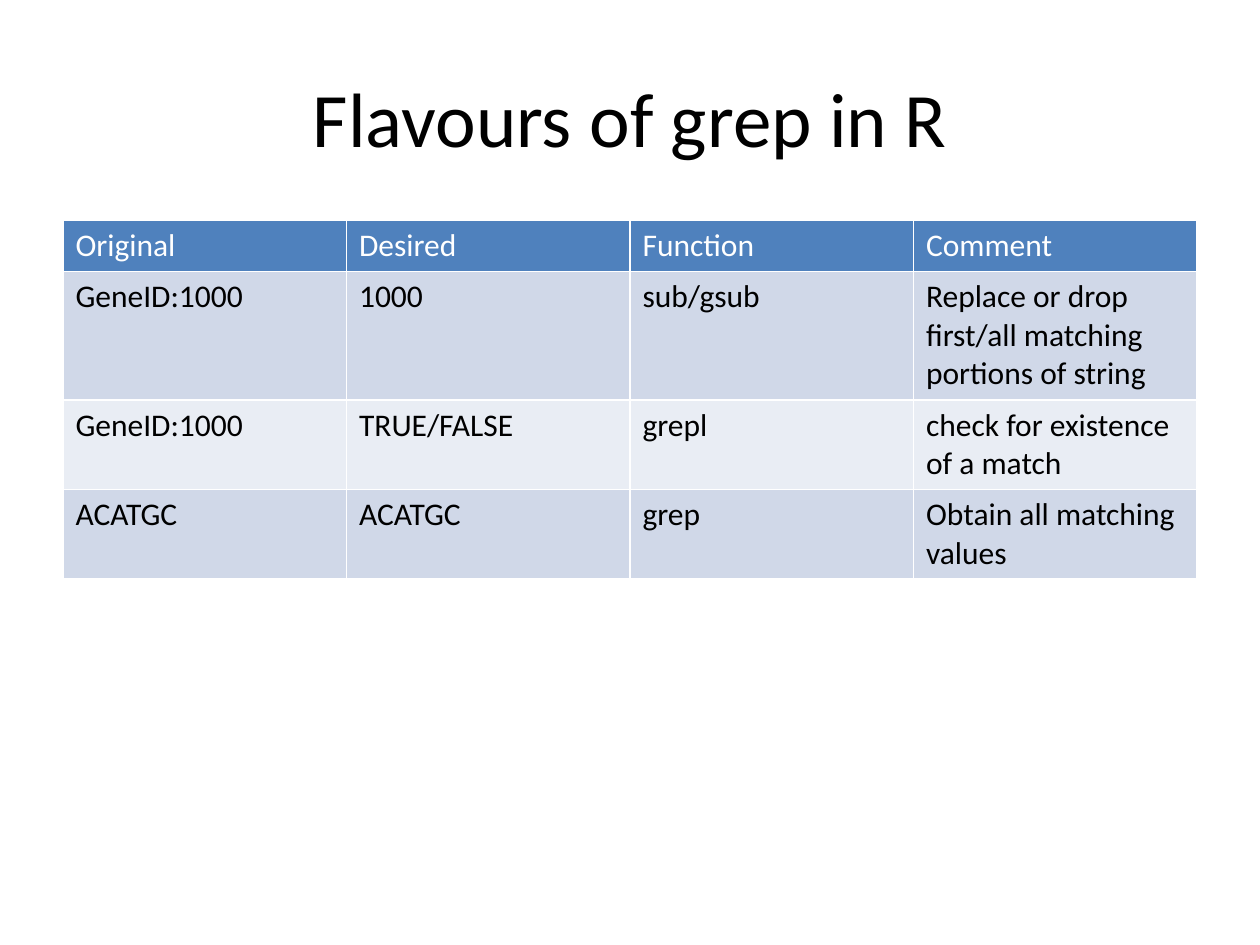
import pptx
import pptx.util
import pptx.dml.color

Inches, Pt = pptx.util.Inches, pptx.util.Pt


def shade(code):
    """Turn a hex string into a colour."""
    return pptx.dml.color.RGBColor.from_string(code)


def style(para, size, code):
    """Set the font of a paragraph's runs."""
    look = {"name": "Calibri", "size": Pt(size), "bold": False}
    for run in para.runs:
        for key, value in look.items():
            setattr(run.font, key, value)
        run.font.color.rgb = shade(code)


deck = pptx.Presentation()
deck.slide_width, deck.slide_height = Inches(10), Inches(7.5)
slide = deck.slides.add_slide(deck.slide_layouts[5])

title = slide.shapes.title
place = {"left": 0.5, "top": 0.3, "width": 9, "height": 1.25}
for key, value in place.items():
    setattr(title, key, Inches(value))
title.text_frame.text = "Flavours of grep in R"
style(title.text_frame.paragraphs[0], 44, "000000")

# Each row: height, fill, text colour, words
rows = [
    (0.4, "4F81BD", "FFFFFF", ["Original", "Desired", "Function", "Comment"]),
    (1.02, "D0D8E8", "000000", ["GeneID:1000", "1000", "sub/gsub",
     "Replace or drop first/all matching portions of string"]),
    (0.71, "E9EDF4", "000000", ["GeneID:1000", "TRUE/FALSE", "grepl",
     "check for existence of a match"]),
    (0.71, "D0D8E8", "000000", ["ACATGC", "ACATGC", "grep",
     "Obtain all matching values"]),
]
total = sum(row[0] for row in rows)
table = slide.shapes.add_table(len(rows), 4, Inches(0.5), Inches(1.75),
                               Inches(9), Inches(total)).table
for r, (height, fill, ink, words) in enumerate(rows):
    table.rows[r].height = Inches(height)
    for c, word in enumerate(words):
        cell = table.cell(r, c)
        cell.text = word
        cell.fill.solid()
        cell.fill.fore_color.rgb = shade(fill)
        style(cell.text_frame.paragraphs[0], 18, ink)

deck.save("out.pptx")
